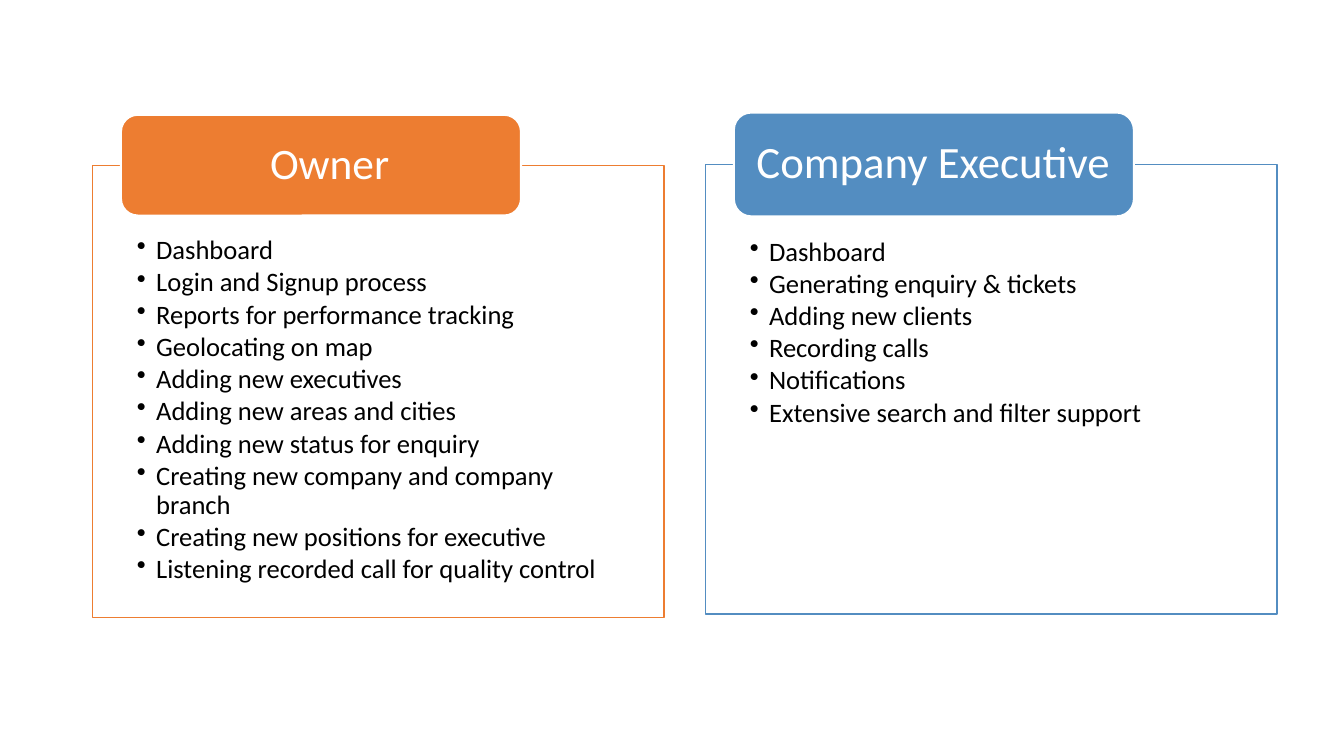
from lxml.etree import SubElement
from pptx import Presentation
from pptx.dml.color import RGBColor
from pptx.enum.shapes import MSO_SHAPE
from pptx.enum.text import MSO_ANCHOR, PP_ALIGN
from pptx.oxml.ns import qn
from pptx.util import Pt

PANEL_WIDTH = 408.2
TAB_WIDTH = 285.8
TAB_OFFSET = 20.2
BULLET_INDENT = 13.7

OWNER_TASKS = [
    "Dashboard",
    "Login and Signup process",
    "Reports for performance tracking",
    "Geolocating on map",
    "Adding new executives",
    "Adding new areas and cities",
    "Adding new status for enquiry",
    "Creating new company and company branch",
    "Creating new positions for executive",
    "Listening recorded call for quality control",
]
EXECUTIVE_TASKS = [
    "Dashboard",
    "Generating enquiry & tickets",
    "Adding new clients",
    "Recording calls",
    "Notifications",
    "Extensive search and filter support",
]


def rgb(color):
    return RGBColor.from_string(color)


def add_box(slide, kind, left, top, width, height, fill, line, line_width):
    box = slide.shapes.add_shape(kind, Pt(left), Pt(top), Pt(width), Pt(height))
    box.shadow.inherit = False
    box.fill.solid()
    box.fill.fore_color.rgb = rgb(fill)
    box.line.color.rgb = rgb(line)
    box.line.width = Pt(line_width)
    return box


def add_bullet(paragraph):
    properties = paragraph._p.get_or_add_pPr()
    properties.set("marL", str(Pt(BULLET_INDENT)))
    properties.set("indent", str(-Pt(BULLET_INDENT)))
    SubElement(properties, qn("a:buChar")).set("char", "•")


def write_text(box, lines, size, color, margins, anchor=MSO_ANCHOR.TOP,
               space_after=0, bullets=False):
    """Fill a box with paragraphs; margins are left, top, right, bottom."""
    frame = box.text_frame
    frame.word_wrap = True
    frame.vertical_anchor = anchor
    (frame.margin_left, frame.margin_top,
     frame.margin_right, frame.margin_bottom) = map(Pt, margins)
    for index, line in enumerate(lines):
        paragraph = frame.add_paragraph() if index else frame.paragraphs[0]
        paragraph.alignment = PP_ALIGN.LEFT
        paragraph.line_spacing = 0.9
        paragraph.space_after = Pt(space_after)
        if bullets:
            add_bullet(paragraph)
        run = paragraph.add_run()
        run.text = line
        run.font.name = "Calibri"
        run.font.size = Pt(size)
        run.font.color.rgb = rgb(color)


def add_role(slide, role, tasks, color, left, top, height, tab_height,
             role_size, role_indent, list_top):
    """Draw a framed task list with a role tab centred on its top edge."""
    panel = add_box(slide, MSO_SHAPE.RECTANGLE, left, top, PANEL_WIDTH, height,
                    "FFFFFF", color, 1)
    write_text(panel, tasks, 19, "000000", (31.7, list_top, 31.7, 10.8),
               space_after=2.5, bullets=True)
    tab = add_box(slide, MSO_SHAPE.ROUNDED_RECTANGLE, left + TAB_OFFSET,
                  top - tab_height / 2, TAB_WIDTH, tab_height,
                  color, "FFFFFF", 1.5)
    write_text(tab, [role], role_size, "FFFFFF", (role_indent, 0, 0, 0),
               anchor=MSO_ANCHOR.MIDDLE)


def main():
    deck = Presentation()
    deck.slide_width, deck.slide_height = Pt(960), Pt(540)
    slide = deck.slides.add_slide(deck.slide_layouts[6])
    add_role(slide, "Owner", OWNER_TASKS, "ED7D31", left=66.2, top=118,
             height=323.3, tab_height=72, role_size=31, role_indent=103,
             list_top=51.1)
    add_role(slide, "Company Executive", EXECUTIVE_TASKS, "538DC1", left=504,
             top=117.5, height=321.1, tab_height=74.2, role_size=32,
             role_indent=12.5, list_top=52.6)
    deck.save("out.pptx")


if __name__ == "__main__":
    main()
